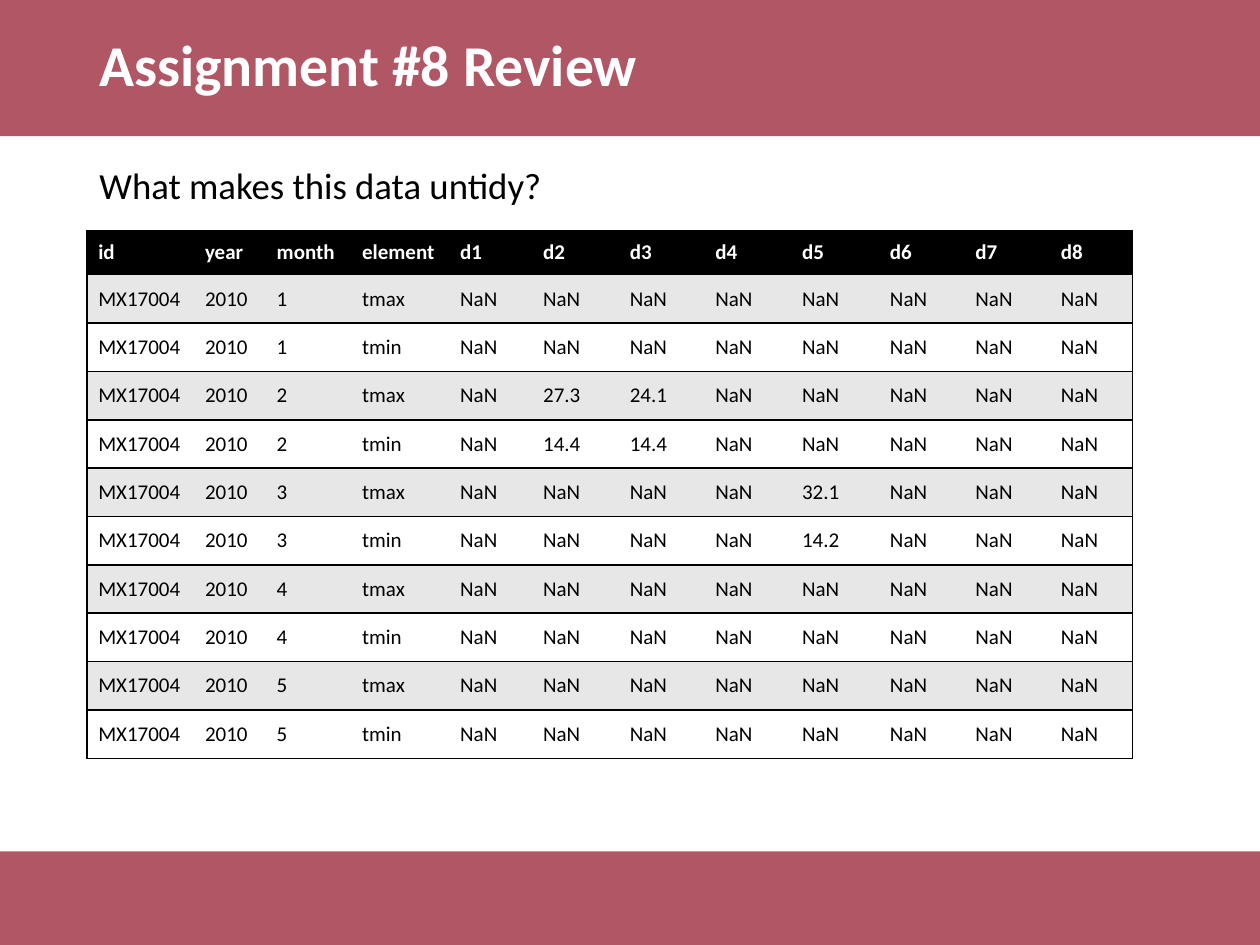
from lxml import etree
from pptx import Presentation
from pptx import util as u
from pptx.dml.color import RGBColor
from pptx.enum import shapes, text
from pptx.oxml.ns import qn

WIDTH, HEIGHT = u.Inches(10), u.Inches(7.5)
FONT = "Calibri"
CRIMSON, BLACK, WHITE, GREY = "981E32", "000000", "FFFFFF", "E7E7E7"
PLAIN_TABLE_STYLE = "{2D5ABB26-0587-4C30-8999-92F81FD0307C}"
COLUMN_SHARES = [85, 57, 68, 78, 66, 69, 68, 69, 70, 68, 68, 66]
HEADER_SHARE, ROW_SHARE = 35, 38.4
HEADINGS = ["id", "year", "month", "element"] + [f"d{day}" for day in range(1, 9)]
READINGS = {
    (2, "tmax"): {2: "27.3", 3: "24.1"},
    (2, "tmin"): {2: "14.4", 3: "14.4"},
    (3, "tmax"): {5: "32.1"},
    (3, "tmin"): {5: "14.2"},
}


def color(hex_string):
    return RGBColor.from_string(hex_string)


def share_box(left, top, width, height):
    return (round(left * WIDTH), round(top * HEIGHT),
            round(width * WIDTH), round(height * HEIGHT))


def format_text(text_frame, size, hex_string, bold=False):
    for paragraph in text_frame.paragraphs:
        for run in paragraph.runs:
            run.font.name = FONT
            run.font.size = u.Pt(size)
            run.font.bold = bold
            run.font.color.rgb = color(hex_string)


def add_band(slide, box):
    band = slide.shapes.add_shape(shapes.MSO_SHAPE.RECTANGLE, *box)
    band.shadow.inherit = False
    band.line.fill.background()
    band.fill.solid()
    band.fill.fore_color.rgb = color(CRIMSON)
    fill_color = next(band._element.spPr.iter(qn("a:srgbClr")))
    etree.SubElement(fill_color, qn("a:alpha"), val="75000")


def add_text(slide, box, words, size, hex_string, anchor, bold=False, space_before=0):
    text_frame = slide.shapes.add_textbox(*box).text_frame
    text_frame.word_wrap = True
    text_frame.vertical_anchor = anchor
    text_frame.text = words
    paragraph = text_frame.paragraphs[0]
    paragraph.line_spacing = 0.9
    paragraph.space_before = u.Pt(space_before)
    format_text(text_frame, size, hex_string, bold)


def add_borders(cell, sides):
    properties = cell._tc.get_or_add_tcPr()
    for position, side in enumerate(sides):
        line = etree.Element(qn(f"a:ln{side}"), w=str(u.Pt(1)))
        fill = etree.SubElement(line, qn("a:solidFill"))
        etree.SubElement(fill, qn("a:srgbClr"), val=BLACK)
        properties.insert(position, line)


def weather_rows():
    for month in range(1, 6):
        for element in ("tmax", "tmin"):
            days = READINGS.get((month, element), {})
            yield ["MX17004", "2010", str(month), element] + [
                days.get(day, "NaN") for day in range(1, 9)]


def add_weather_table(slide, box):
    left, top, width, height = box
    rows = [HEADINGS, *weather_rows()]
    frame = slide.shapes.add_table(len(rows), len(HEADINGS), *box)
    next(frame._element.iter(qn("a:tableStyleId"))).text = PLAIN_TABLE_STYLE
    table = frame.table
    table.horz_banding = False
    for column, share in zip(table.columns, COLUMN_SHARES):
        column.width = round(width * share / sum(COLUMN_SHARES))
    row_shares = [HEADER_SHARE] + [ROW_SHARE] * (len(rows) - 1)
    for row, share in zip(table.rows, row_shares):
        row.height = round(height * share / sum(row_shares))
    last_column = len(HEADINGS) - 1
    for row_index, values in enumerate(rows):
        header = row_index == 0
        fill = BLACK if header else GREY if row_index % 2 else WHITE
        for column_index, value in enumerate(values):
            cell = table.cell(row_index, column_index)
            cell.text_frame.text = value
            format_text(cell.text_frame, 12, WHITE if header else BLACK, header)
            cell.vertical_anchor = text.MSO_ANCHOR.MIDDLE
            cell.margin_left = cell.margin_right = u.Inches(0.09)
            cell.margin_top = cell.margin_bottom = u.Inches(0.05)
            cell.fill.solid()
            cell.fill.fore_color.rgb = color(fill)
            outer = {0: "L", last_column: "R"}.get(column_index, "")
            add_borders(cell, outer + "TB")


def build_review_slide(presentation):
    slide = presentation.slides.add_slide(presentation.slide_layouts[6])
    margin, content, header, footer = 0.069, 0.862, 0.144, 0.901
    add_band(slide, share_box(0, footer, 1, 1 - footer))
    add_band(slide, share_box(0, 0, 1, header))
    add_text(slide, share_box(margin, 0, content, header), "Assignment #8 Review",
             33, WHITE, text.MSO_ANCHOR.MIDDLE, bold=True)
    add_weather_table(slide, share_box(margin, 0.244, 0.83, 0.559))
    add_text(slide, share_box(margin, 0.171, content, footer - 0.171),
             "What makes this data untidy?", 21, BLACK, text.MSO_ANCHOR.TOP,
             space_before=7.5)


presentation = Presentation()
presentation.slide_width, presentation.slide_height = WIDTH, HEIGHT
build_review_slide(presentation)
presentation.save("out.pptx")
